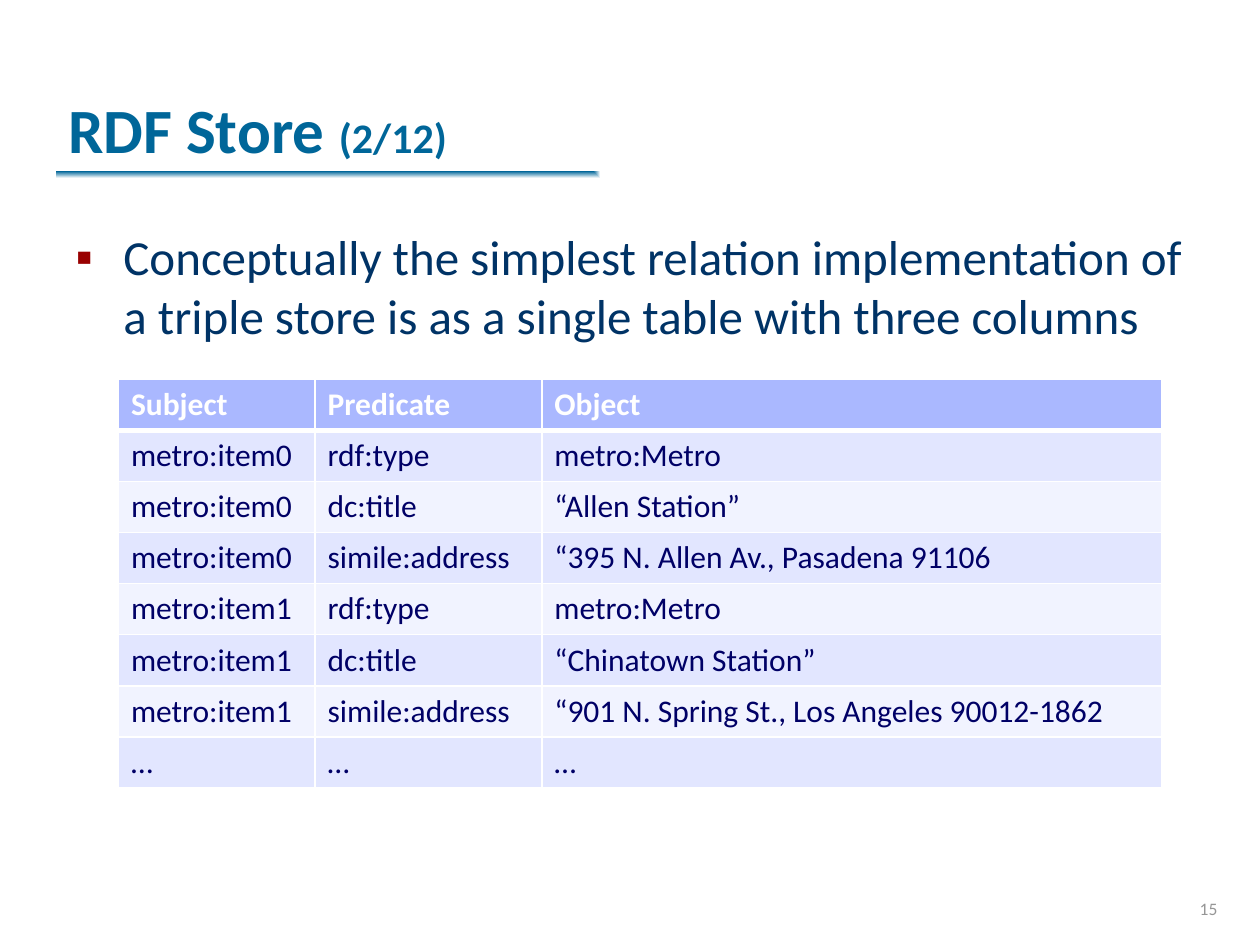
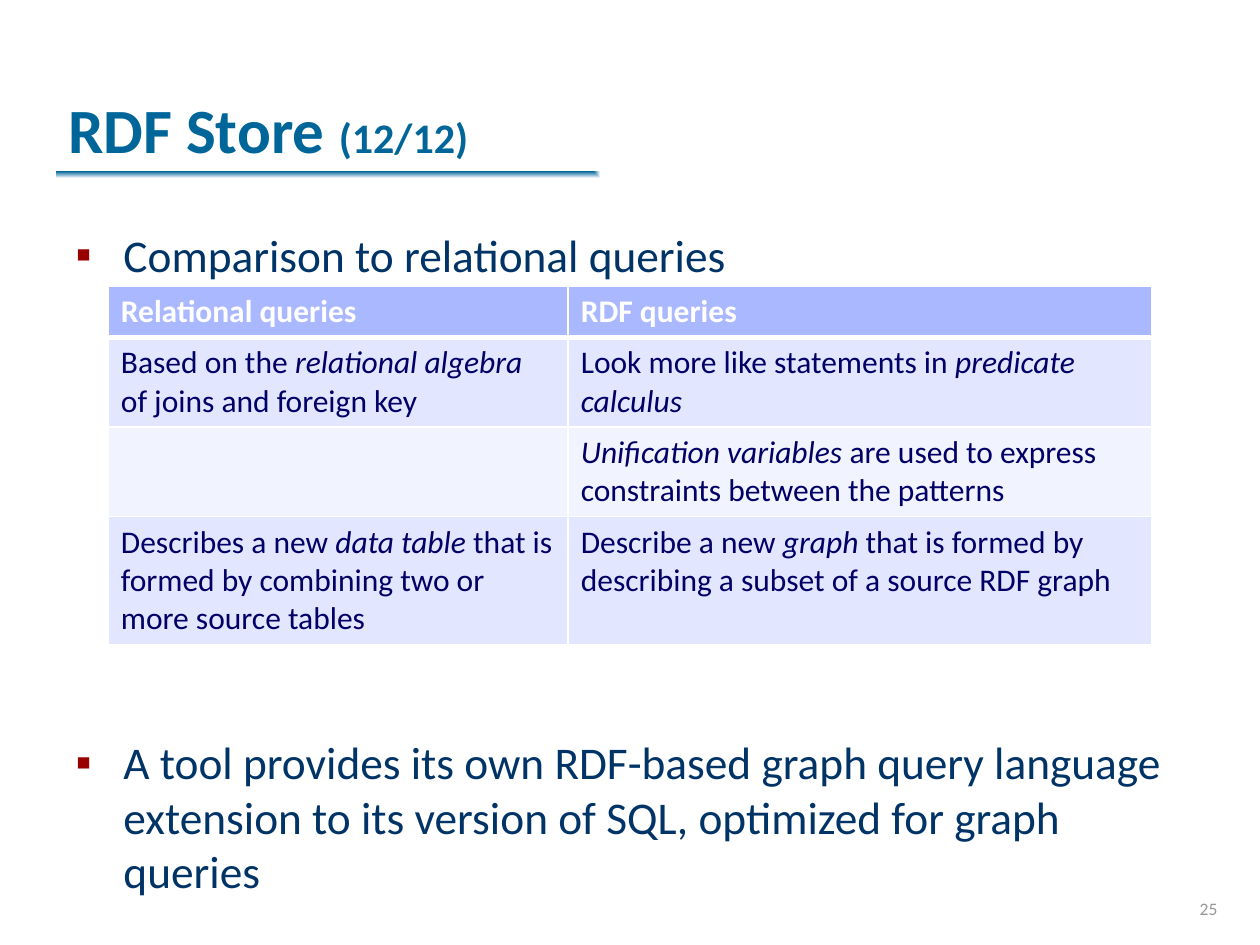
"""Build two slides that compare RDF stores with relational tables."""
from lxml import etree
from pptx import Presentation
from pptx.dml.color import RGBColor
from pptx.enum.shapes import MSO_SHAPE
from pptx.enum.text import MSO_ANCHOR, MSO_AUTO_SIZE, PP_ALIGN
from pptx.oxml import parse_xml
from pptx.oxml.ns import nsdecls, qn
from pptx.util import Inches, Pt

RECTANGLE = MSO_SHAPE.RECTANGLE
BOTTOM, TOP = MSO_ANCHOR.BOTTOM, MSO_ANCHOR.TOP
LEFT, RIGHT = PP_ALIGN.LEFT, PP_ALIGN.RIGHT
FIXED_SIZE = MSO_AUTO_SIZE.NONE

TEAL = RGBColor(0x00, 0x66, 0x99)
NAVY = RGBColor(0x00, 0x33, 0x66)
INDIGO = RGBColor(0x00, 0x00, 0x66)
RED = RGBColor(0x99, 0x00, 0x00)
GRAY = RGBColor(0x96, 0x96, 0x96)
WHITE = RGBColor(0xFF, 0xFF, 0xFF)
HEADER_FILL = RGBColor(0xAA, 0xB8, 0xFF)
BAND_FILLS = [RGBColor(0xF1, 0xF3, 0xFF), RGBColor(0xE2, 0xE6, 0xFF)]

FONT = "Calibri"
SLIDE_WIDTH, SLIDE_HEIGHT = Inches(10), Inches(7.5)
COLUMN, ROW = SLIDE_WIDTH / 100, SLIDE_HEIGHT / 75

RULE_GRADIENT = f"""<a:gradFill {nsdecls('a')} rotWithShape="1"><a:gsLst>
<a:gs pos="0"><a:srgbClr val="{TEAL}"/></a:gs>
<a:gs pos="100000"><a:srgbClr val="{WHITE}"/></a:gs></a:gsLst>
<a:path path="rect"><a:fillToRect r="100000" b="100000"/></a:path></a:gradFill>"""

STORE_SLIDES = [
    {
        "part": "(2/12)",
        "number": "15",
        "points": ["Conceptually the simplest relation implementation of "
                   "a triple store is as a single table with three columns"],
        "point_size": 28,
        "point_gap": 0,
        "body_width": 91.1,
        "table_corner": (9.4, 30.1),
        "column_widths": [15.6, 18, 49.2],
        "row_heights": [4.05] * 8,
        "cells": [
            ["Subject", "Predicate", "Object"],
            ["metro:item0", "rdf:type", "metro:Metro"],
            ["metro:item0", "dc:title", "“Allen Station”"],
            ["metro:item0", "simile:address", "“395 N. Allen Av., Pasadena 91106"],
            ["metro:item1", "rdf:type", "metro:Metro"],
            ["metro:item1", "dc:title", "“Chinatown Station”"],
            ["metro:item1", "simile:address",
             "“901 N. Spring St., Los Angeles 90012-1862"],
            ["…", "…", "…"],
        ],
    },
    {
        "part": "(12/12)",
        "number": "25",
        "points": ["Comparison to relational queries",
                   "A tool provides its own RDF-based graph query language "
                   "extension to its version of SQL, optimized for graph queries"],
        "point_size": 25.9,
        "point_gap": 259,
        "body_width": 89.4,
        "table_corner": (8.6, 22.7),
        "column_widths": [36.5, 46.3],
        "row_heights": [4.1, 7, 7, 10],
        "cells": [
            ["Relational queries", "RDF queries"],
            ["Based on the *relational algebra *of joins and foreign key",
             "Look more like statements in *predicate calculus*"],
            ["", "*Unification variables *are used to express constraints "
                 "between the patterns"],
            ["Describes a new *data table *that is formed by combining two or "
             "more source tables",
             "Describe a new *graph* that is formed by describing a subset of "
             "a source RDF graph"],
        ],
    },
]


def grid_box(left, top, width, height):
    return (round(left * COLUMN), round(top * ROW),
            round(width * COLUMN), round(height * ROW))


def write_text(paragraph, text, size=18, color=INDIGO, bold=False, align=LEFT):
    """Add text to a paragraph, with the parts between asterisks in italics."""
    paragraph.alignment = align
    for index, part in enumerate(text.split("*")):
        if part:
            run = paragraph.add_run()
            run.text = part
            run.font.name, run.font.size = FONT, Pt(size)
            run.font.bold, run.font.italic = bold, index % 2 == 1
            run.font.color.rgb = color


deck = Presentation()
deck.slide_width, deck.slide_height = SLIDE_WIDTH, SLIDE_HEIGHT

for content in STORE_SLIDES:
    slide = deck.slides.add_slide(deck.slide_layouts[1])

    rule = slide.shapes.add_shape(RECTANGLE, *grid_box(4.5, 13.6, 86.3, 1.1))
    rule.shadow.inherit = False
    rule.line.fill.background()
    rule.fill.background()
    properties = rule._element.spPr
    properties.replace(properties.find(qn("a:noFill")), parse_xml(RULE_GRADIENT))

    title = slide.shapes.title
    title.left, title.top, title.width, title.height = grid_box(4.4, 1.2, 85, 12.5)
    title.text_frame.auto_size = FIXED_SIZE
    title.text_frame.vertical_anchor = BOTTOM
    heading = title.text_frame.paragraphs[0]
    write_text(heading, "RDF Store ", size=36, color=TEAL, bold=True)
    write_text(heading, content["part"], size=24, color=TEAL, bold=True)

    body = slide.placeholders[1]
    body.left, body.top, body.width, body.height = grid_box(
        5, 17.5, content["body_width"], 48.8)
    body.text_frame.auto_size = FIXED_SIZE
    body.text_frame.vertical_anchor = TOP
    for index, point in enumerate(content["points"]):
        bullet = (body.text_frame.add_paragraph() if index
                  else body.text_frame.paragraphs[0])
        bullet.space_before = Pt(content["point_gap"] if index else 0)
        indents = bullet._p.get_or_add_pPr()
        indents.set("marL", str(Inches(0.38)))
        indents.set("indent", str(-Inches(0.38)))
        bullet_color = etree.SubElement(indents, qn("a:buClr"))
        etree.SubElement(bullet_color, qn("a:srgbClr"), val=str(RED))
        etree.SubElement(indents, qn("a:buChar"), char="▪")
        write_text(bullet, point, size=content["point_size"], color=NAVY)

    widths, heights = content["column_widths"], content["row_heights"]
    table = slide.shapes.add_table(
        len(heights), len(widths),
        *grid_box(*content["table_corner"], sum(widths), sum(heights))).table
    for column, width in zip(table.columns, widths):
        column.width = round(width * COLUMN)
    for row_index, (row, height) in enumerate(zip(table.rows, heights)):
        row.height = round(height * ROW)
        is_header = row_index == 0
        for cell, text in zip(row.cells, content["cells"][row_index]):
            cell_properties = cell._tc.get_or_add_tcPr()
            for side in "LRTB":
                heavy = (side == "B" and is_header) or (side == "T" and row_index == 1)
                border = etree.SubElement(cell_properties, qn(f"a:ln{side}"),
                                          w=str(Pt(3 if heavy else 1)))
                border_fill = etree.SubElement(border, qn("a:solidFill"))
                etree.SubElement(border_fill, qn("a:srgbClr"), val=str(WHITE))
            cell.fill.solid()
            cell.fill.fore_color.rgb = HEADER_FILL if is_header else BAND_FILLS[row_index % 2]
            write_text(cell.text_frame.paragraphs[0], text,
                       color=WHITE if is_header else INDIGO, bold=is_header)

    page_number = slide.shapes.add_textbox(*grid_box(76.8, 68.4, 20.8, 5)).text_frame
    page_number.word_wrap = True
    page_number.vertical_anchor = BOTTOM
    write_text(page_number.paragraphs[0], content["number"],
               size=10, color=GRAY, align=RIGHT)

deck.save("out.pptx")
